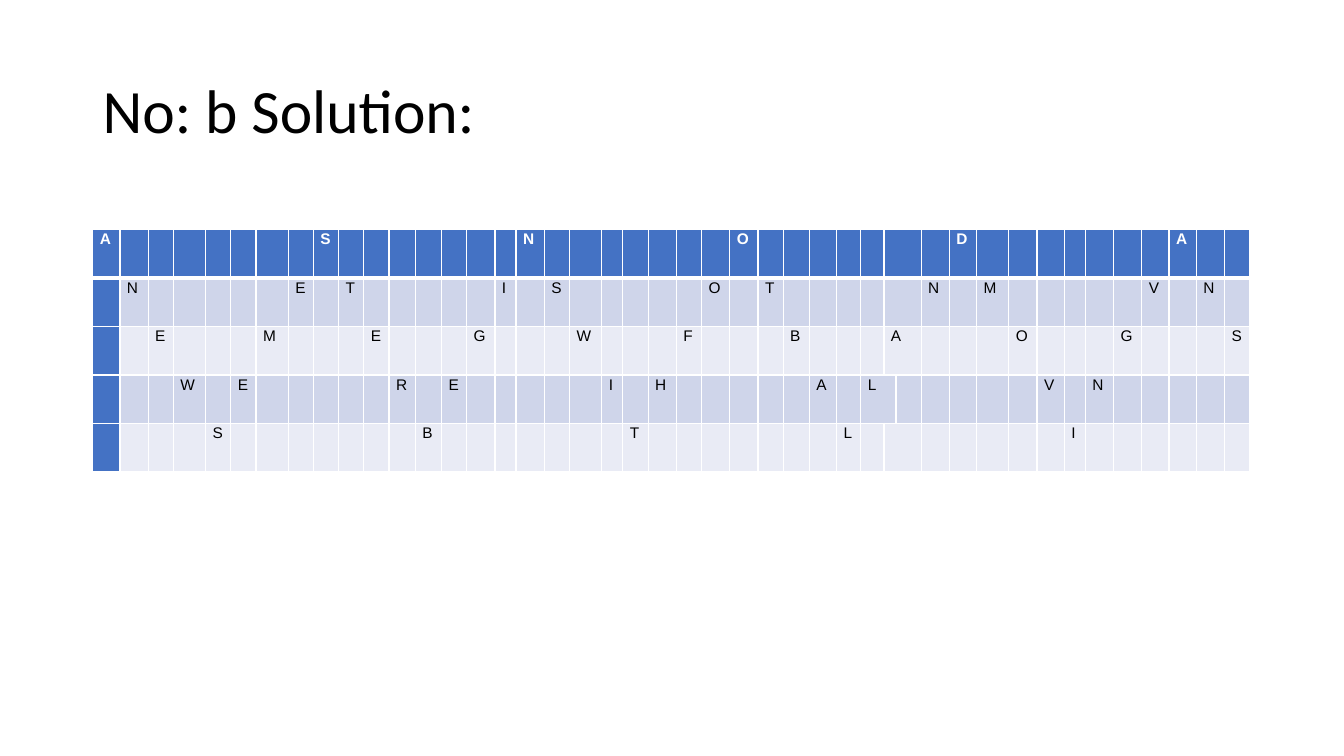
"""Build a slide that shows a rail fence cipher solution on five rails."""
from lxml import etree
from pptx import Presentation, util as u
from pptx.dml.color import RGBColor
from pptx.enum import text
from pptx.oxml.ns import qn

TITLE = "No: b Solution:"
MESSAGE = "ANEWSEMESTERBEGINSWITHFOOTBALLANDMOVINGVANS"
RAILS = 5
SPLIT_COLUMN = 30
MERGE_STARTS = [30, 30, 30, 29, 30]
COLUMN_WIDTHS = [
    0.27, 0.28, 0.25, 0.32, 0.25, 0.25, 0.32, 0.25, 0.25, 0.25, 0.25,
    0.26, 0.26, 0.25, 0.28, 0.21, 0.28, 0.25, 0.32, 0.21, 0.25, 0.28,
    0.25, 0.28, 0.28, 0.25, 0.26, 0.27, 0.24, 0.23, 0.12, 0.25, 0.28,
    0.27, 0.32, 0.28, 0.27, 0.21, 0.28, 0.28, 0.27, 0.27, 0.28, 0.25,
]
ROW_HEIGHT = 0.48
COLORS = {"black": "000000", "white": "FFFFFF", "header": "4472C4",
          "odd": "CFD5EA", "even": "E9EBF5"}


def color(name):
    return RGBColor.from_string(COLORS[name])


def write(para, words, size, font, ink, spacing, bold=False):
    para.line_spacing = spacing
    span = para.add_run()
    span.text = words
    span.font.size = u.Pt(size)
    span.font.name = font
    span.font.bold = bold
    span.font.color.rgb = color(ink)


def add_border(cell, side, points):
    line = etree.SubElement(cell._tc.get_or_add_tcPr(), qn("a:ln" + side),
                            w=str(u.Pt(points)))
    fill = etree.SubElement(line, qn("a:solidFill"))
    etree.SubElement(fill, qn("a:srgbClr"), val=COLORS["white"])


def style_cell(cell, row, column):
    cell.margin_left = cell.margin_right = u.Inches(0.07)
    cell.margin_top = cell.margin_bottom = 0
    heavy_side = {0: "B", 1: "T"}.get(row)
    for side in "LRTB":
        add_border(cell, side, 3 if side == heavy_side else 1)
    cell.fill.solid()
    band = "odd" if row % 2 else "even"
    cell.fill.fore_color.rgb = color("header" if 0 in (row, column) else band)


def add_title(page):
    box = page.shapes.add_textbox(u.Inches(0.92), u.Inches(0.4),
                                  u.Inches(11.5), u.Inches(1.45))
    frame = box.text_frame
    frame.word_wrap = True
    frame.vertical_anchor = text.MSO_ANCHOR.MIDDLE
    write(frame.paragraphs[0], TITLE, 44, "Calibri", "black", 0.9)


def add_fence(page):
    grid = page.shapes.add_table(
        RAILS, len(COLUMN_WIDTHS), u.Inches(0.92), u.Inches(2.28),
        u.Inches(sum(COLUMN_WIDTHS)), u.Inches(RAILS * ROW_HEIGHT)).table
    for column, width in zip(grid.columns, COLUMN_WIDTHS):
        column.width = u.Inches(width)
    for row, start in enumerate(MERGE_STARTS):
        grid.rows[row].height = u.Inches(ROW_HEIGHT)
        for column in range(len(COLUMN_WIDTHS)):
            style_cell(grid.cell(row, column), row, column)
        grid.cell(row, start).merge(grid.cell(row, start + 1))
    period = 2 * (RAILS - 1)
    for index, letter in enumerate(MESSAGE):
        rail = min(index % period, period - index % period)
        column = index + (index > SPLIT_COLUMN)
        write(grid.cell(rail, column).text_frame.paragraphs[0], letter, 11,
              "Arial", "black" if rail else "white", 1.07, rail == 0)


def main():
    deck = Presentation()
    deck.slide_width, deck.slide_height = u.Inches(13.33), u.Inches(7.5)
    page = deck.slides.add_slide(deck.slide_layouts[6])
    add_title(page)
    add_fence(page)
    deck.save("out.pptx")


if __name__ == "__main__":
    main()
